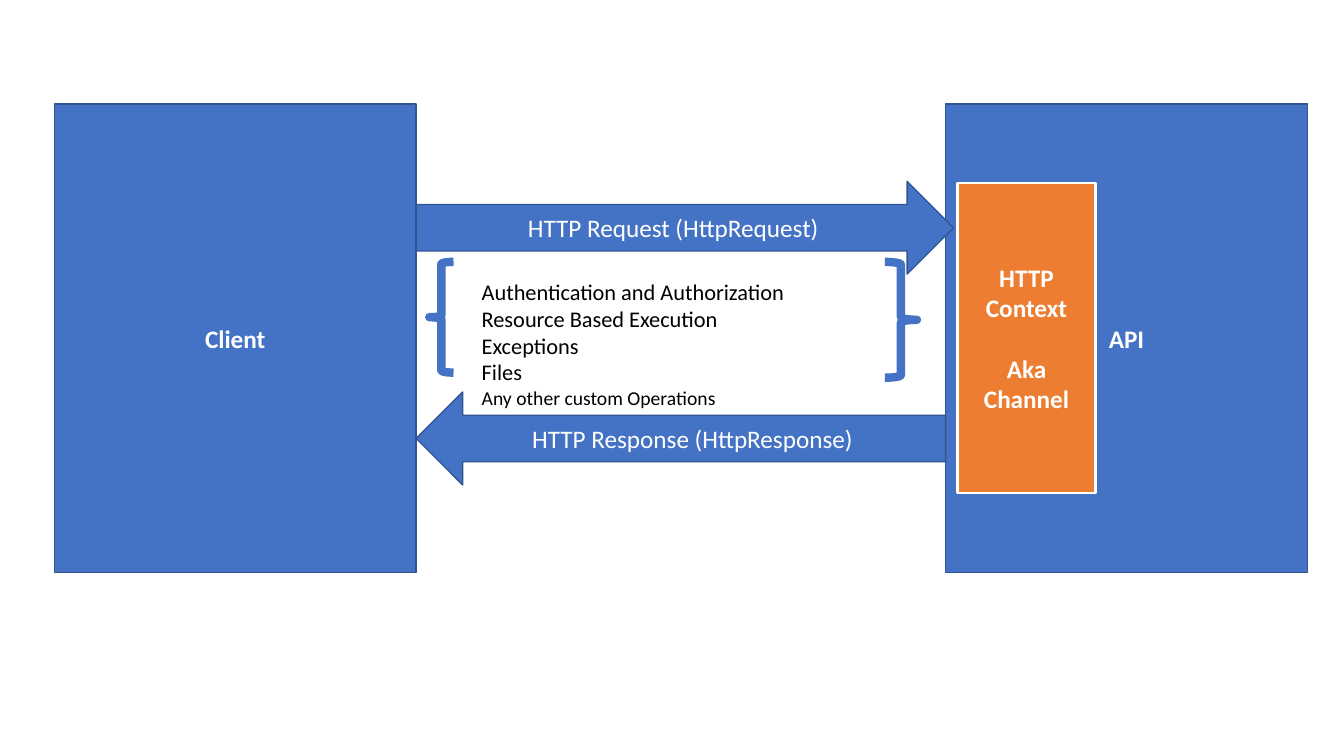
import pptx
import pptx.util
import pptx.dml.color
import pptx.enum.shapes
import pptx.enum.text

Cm = pptx.util.Cm
Pt = pptx.util.Pt
RGB = pptx.dml.color.RGBColor
KIND = pptx.enum.shapes.MSO_SHAPE
ALIGN = pptx.enum.text.PP_ALIGN
ANCHOR = pptx.enum.text.MSO_ANCHOR

BLUE = RGB(0x44, 0x72, 0xC4)
NAVY = RGB(0x32, 0x54, 0x91)
ORANGE = RGB(0xED, 0x7D, 0x31)
WHITE = RGB(0xFF, 0xFF, 0xFF)
BLACK = RGB(0, 0, 0)


def write(frame, text, size=18, color=WHITE, bold=False,
          align=ALIGN.CENTER, anchor=ANCHOR.MIDDLE):
    frame.word_wrap = True
    frame.vertical_anchor = anchor
    frame.text = text
    for para in frame.paragraphs:
        para.alignment = align
        font = para.font
        font.name, font.size, font.bold = "Calibri", Pt(size), bold
        font.color.rgb = color


def draw(slide, kind, box, fill=BLUE, line=NAVY, width=1):
    shape = slide.shapes.add_shape(kind, *map(Cm, box))
    shape.shadow.inherit = False
    if fill is None:
        shape.fill.background()
    else:
        shape.fill.solid()
        shape.fill.fore_color.rgb = fill
    shape.line.color.rgb = line
    shape.line.width = Pt(width)
    return shape


# Client or API block
def party(slide, box, name):
    write(draw(slide, KIND.RECTANGLE, box).text_frame, name, bold=True)


# Request or response arrow
def arrow(slide, kind, box, label):
    write(draw(slide, kind, box).text_frame, label)


# Orange channel inside the API block
def channel(slide, box):
    left, top, wide, high = box
    frame = draw(slide, KIND.RECTANGLE, (left + 0.3, top + 2, 3.48, high - 4.01),
                 ORANGE, WHITE, 1.5).text_frame
    write(frame, "HTTP\nContext\nAka\nChannel", bold=True)
    frame.paragraphs[2].space_before = Pt(22)


# Braced list of what travels between the arrows
def payload(slide, box):
    left, top, wide, high = box
    braces = ((KIND.LEFT_BRACE, left, 0.61, high - 0.13),
              (KIND.RIGHT_BRACE, left + wide - 0.81, 0.81, high))
    for kind, x, w, h in braces:
        draw(slide, kind, (x, top, w, h), None, BLUE, 6)
    area = (left + 1.07, top + 0.28, wide - 2.21, high + 0.66)
    frame = slide.shapes.add_textbox(*map(Cm, area)).text_frame
    write(frame, "Authentication and Authorization\nResource Based Execution\n"
          "Exceptions\nFiles\nAny other custom Operations",
          size=16, color=BLACK, align=ALIGN.LEFT, anchor=ANCHOR.TOP)
    frame.paragraphs[-1].font.size = Pt(14)


deck = pptx.Presentation()
deck.slide_width, deck.slide_height = Cm(33.87), Cm(19.05)
slide = deck.slides.add_slide(deck.slide_layouts[6])

client = (1.37, 2.62, 9.12, 11.81)
api = (23.83, *client[1:])
edge = client[0] + client[2]

party(slide, api, "API")
party(slide, client, "Client")
arrow(slide, KIND.RIGHT_ARROW, (edge, 4.57, 13.54, 2.34),
      "HTTP Request (HttpRequest)")
channel(slide, api)
arrow(slide, KIND.LEFT_ARROW, (edge, 9.88, api[0] - edge, 2.34),
      "HTTP Response (HttpResponse)")
payload(slide, (10.82, 6.6, 12.29, 2.92))

deck.save("out.pptx")
